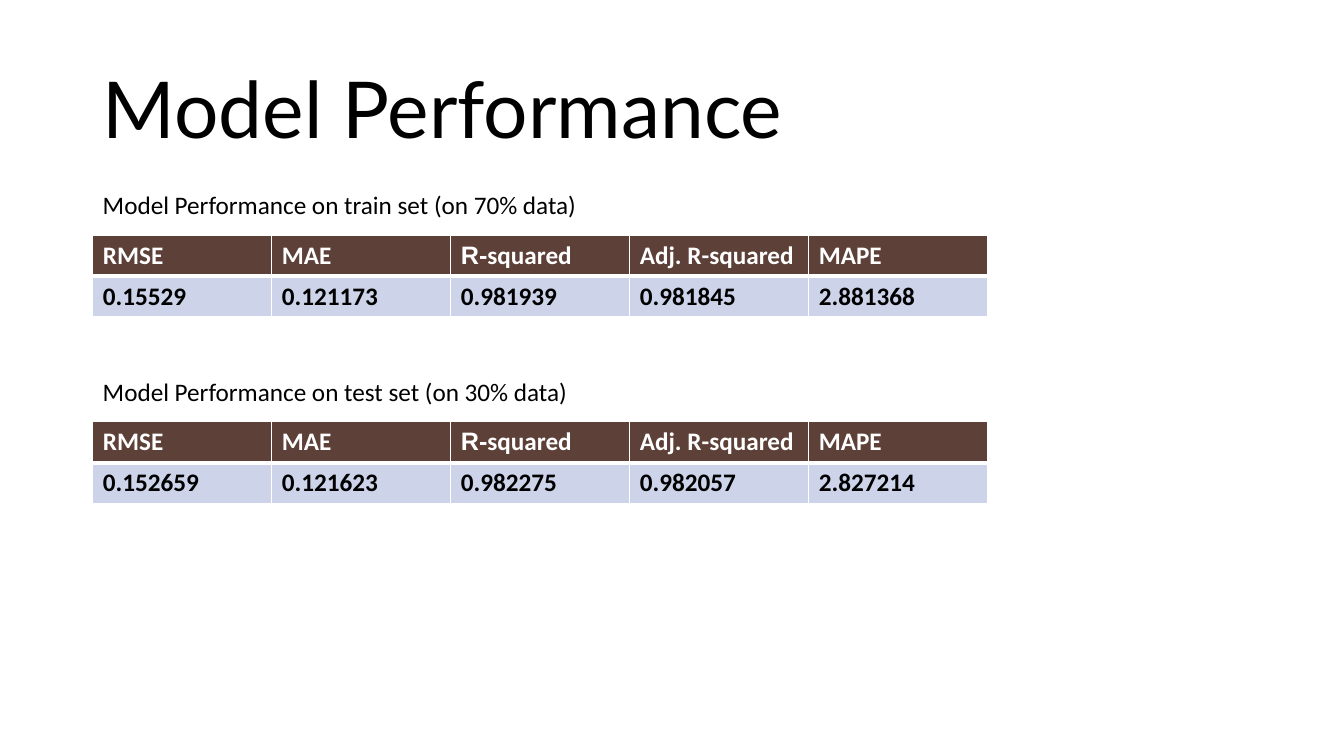
from lxml.etree import SubElement
from pptx import Presentation
from pptx.dml.color import RGBColor
from pptx.enum.text import MSO_ANCHOR
from pptx.oxml.ns import qn
from pptx.util import Cm, Pt

BLACK, WHITE, BROWN, PALE_BLUE = "000000", "FFFFFF", "5D4037", "CDD4EA"
LEFT = 2.34
COL_W, ROW_H = 4.51, 1.03
CAPTION_TOP, TABLE_TOP, BLOCK_STEP = 4.98, 5.93, 4.7
# Each metric is a list of (text, font) runs
METRICS = [
    [("RMSE", "Calibri")],
    [("MAE", "Calibri")],
    [("R-", "Arial"), ("squared", "Calibri")],
    [("Adj. R-squared", "Calibri")],
    [("MAPE", "Calibri")],
]
RESULTS = [
    ("Model Performance on train set (on 70% data)",
     ["0.15529", "0.121173", "0.981939", "0.981845", "2.881368"]),
    ("Model Performance on test set (on 30% data)",
     ["0.152659", "0.121623", "0.982275", "0.982057", "2.827214"]),
]


def rgb(color):
    return RGBColor.from_string(color)


def add_run(p, text, font, size, color, bold=False):
    r = p.add_run()
    r.text = text
    r.font.color.rgb = rgb(color)
    for name, value in {"name": font, "size": Pt(size), "bold": bold}.items():
        setattr(r.font, name, value)


prs = Presentation()
prs.slide_width, prs.slide_height = Cm(33.87), Cm(19.05)
s = prs.slides.add_slide(prs.slide_layouts[6])

# Title and captions: text, top, width, height, bottom margin, font, size
texts = [("Model Performance", 1.01, 29.21, 3.68, 0.13, "Lato", 56)]
for i, (caption, _) in enumerate(RESULTS):
    texts.append((caption, CAPTION_TOP + i * BLOCK_STEP, 18.72, 1.22, 0.89, "Calibri", 18))

for text, top, width, height, bottom, font, size in texts:
    tf = s.shapes.add_textbox(Cm(LEFT), Cm(top), Cm(width), Cm(height)).text_frame
    layout = {"word_wrap": True, "vertical_anchor": MSO_ANCHOR.MIDDLE,
              "margin_bottom": Cm(bottom)}
    for name, value in layout.items():
        setattr(tf, name, value)
    p = tf.paragraphs[0]
    p.line_spacing = 0.9
    add_run(p, text, font, size, BLACK)

# One table of metrics per data set
for i, (_, values) in enumerate(RESULTS):
    rows = [
        (METRICS, BROWN, WHITE, {"lnL": 1, "lnR": 1, "lnT": 1, "lnB": 3}),
        ([[(v, "Calibri")] for v in values], PALE_BLUE, BLACK,
         {"lnL": 1, "lnR": 1, "lnT": 3, "lnB": 1}),
    ]
    table = s.shapes.add_table(
        len(rows), len(METRICS), Cm(LEFT), Cm(TABLE_TOP + i * BLOCK_STEP),
        Cm(COL_W * len(METRICS)), Cm(ROW_H * len(rows))).table
    for column in table.columns:
        column.width = Cm(COL_W)
    for row, (contents, fill, color, borders) in zip(table.rows, rows):
        row.height = Cm(ROW_H)
        for cell, runs in zip(row.cells, contents):
            for text, font in runs:
                add_run(cell.text_frame.paragraphs[0], text, font, 18, color, True)
            # Borders must come before the fill in the cell properties
            tc_pr = cell._tc.get_or_add_tcPr()
            for side, width in borders.items():
                ln = SubElement(tc_pr, qn(f"a:{side}"), w=str(Pt(width)))
                SubElement(SubElement(ln, qn("a:solidFill")), qn("a:srgbClr"), val=WHITE)
            cell.fill.solid()
            cell.fill.fore_color.rgb = rgb(fill)

prs.save("out.pptx")
